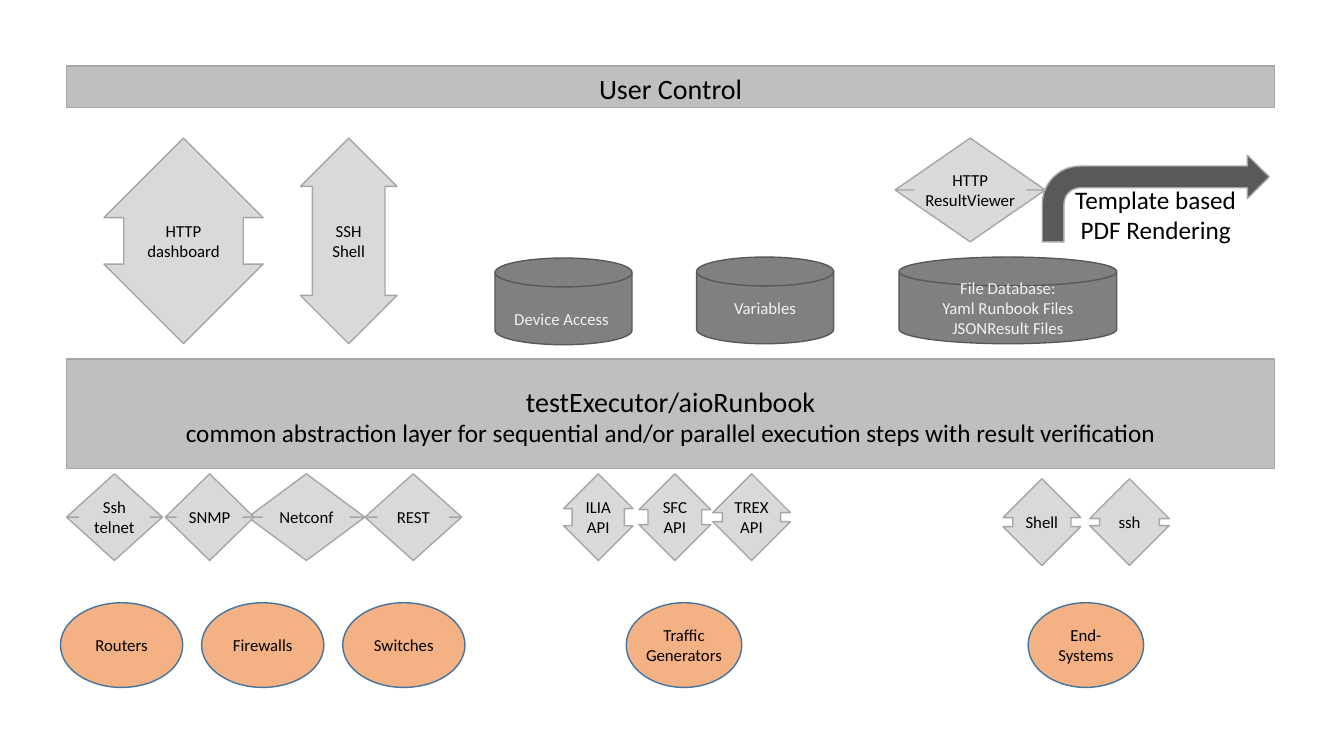
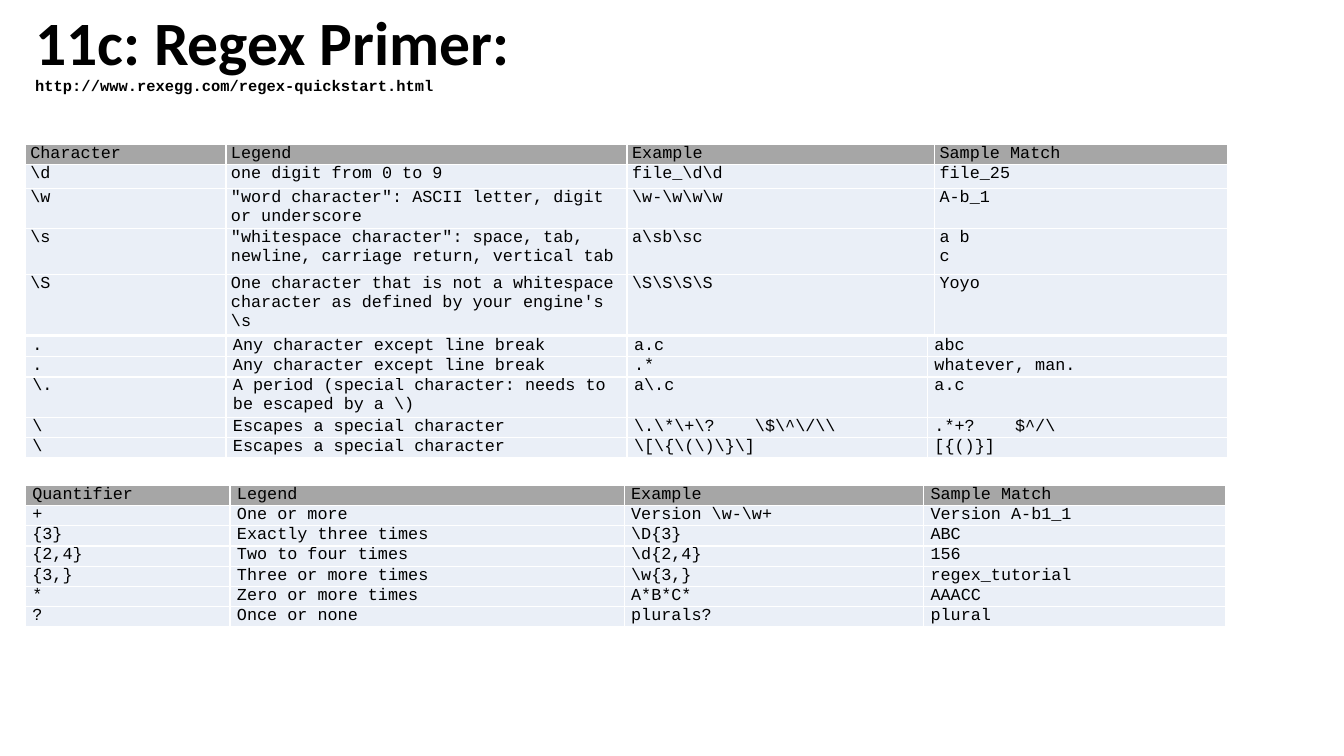
from lxml.etree import SubElement
from pptx import Presentation
from pptx.dml.color import RGBColor
from pptx.enum.shapes import MSO_SHAPE
from pptx.enum.text import MSO_ANCHOR, PP_ALIGN
from pptx.oxml.ns import qn
from pptx.util import Inches, Pt

W, H = Inches(13.333), Inches(7.5)
SANS, MONO = "Calibri", "Courier New"
C = {
    "ink": "000000", "paper": "FFFFFF", "pale_text": "F2F2F2",
    "band": "BFBFBF", "edge": "A6A6A6", "arrow": "D9D9D9",
    "disk": "808080", "dark": "595959",
    "oval": "F4B183", "oval_edge": "43739E",
    "header": "A6A6A6", "body": "EAEFF7",
}
ROW = 2.27

DEVICES = ["Routers", "Firewalls", "Switches"]
OTHER_OVALS = [("Traffic\nGenerators", 46.6), ("End-\nSystems", 76.5)]
PROTOCOL_TOP, HOST_TOP, CONTROL_TOP = 62.67, 63.33, 18.27
ARROWS = [
    ("Ssh\ntelnet", 4.95, PROTOCOL_TOP, 7.13, 11.47),
    ("Netconf", 18.45, PROTOCOL_TOP, 8.7, 11.47),
    ("SNMP", 12.3, PROTOCOL_TOP, 6.6, 11.47),
    ("REST", 27.15, PROTOCOL_TOP, 7.2, 11.47),
    ("ILIA\nAPI", 41.93, PROTOCOL_TOP, 5.18, 11.47),
    ("SFC\nAPI", 47.55, PROTOCOL_TOP, 5.33, 11.47),
    ("TREX\nAPI", 53.03, PROTOCOL_TOP, 5.78, 11.47),
    ("Shell", 74.63, HOST_TOP, 5.78, 11.47),
    ("ssh", 81.08, HOST_TOP, 5.93, 11.47),
    ("HTTP\ndashboard", 7.73, CONTROL_TOP, 11.85, 27.2),
    ("SSH\nShell", 22.35, CONTROL_TOP, 7.2, 27.2, 0.415),
    ("HTTP\nResultViewer", 66.6, CONTROL_TOP, 11.18, 13.73),
]
DISKS = [
    ("File Database:\nYaml Runbook Files\nJSONResult Files", 66.9, 34, 16.2, 0),
    ("Device Access ", 36.83, 34.13, 10.2, 0.2),
    ("Variables", 51.83, 34, 10.2, 0),
]

CHARACTERS = [
    ("Character", "Legend", "Example", "Sample Match"),
    (r"\d", "one digit from 0 to 9", r"file_\d\d", "file_25"),
    (r"\w", '"word character": ASCII letter, digit or underscore', r"\w-\w\w\w", "A-b_1"),
    (r"\s", '"whitespace character": space, tab, newline, carriage return, vertical tab',
     r"a\sb\sc", "a b\nc"),
    (r"\S", r"One character that is not a whitespace character as defined by your engine's \s",
     r"\S\S\S\S", "Yoyo"),
]
SPECIALS = [
    (".", "Any character except line break", "a.c", "abc"),
    (".", "Any character except line break", ".*", "whatever, man."),
    (r"\.", r"A period (special character: needs to be escaped by a \)", r"a\.c", "a.c"),
    ("\\", "Escapes a special character", r"\.\*\+\?    \$\^\/\\", ".*+?    $^/\\"),
    ("\\", "Escapes a special character", r"\[\{\(\)\}\]", "[{()}]"),
]
QUANTIFIERS = [
    ("Quantifier", "Legend", "Example", "Sample Match"),
    ("+", "One or more", r"Version \w-\w+", "Version A-b1_1"),
    ("{3}", "Exactly three times", r"\D{3}", "ABC"),
    ("{2,4}", "Two to four times", r"\d{2,4}", "156"),
    ("{3,}", "Three or more times", r"\w{3,}", "regex_tutorial"),
    ("*", "Zero or more times", "A*B*C*", "AAACC"),
    ("?", "Once or none", "plurals?", "plural"),
]


def x(share):
    return round(W * share / 100)


def y(share):
    return round(H * share / 100)


def box(left, top, width, height):
    return x(left), y(top), x(width), y(height)


def rgb(name):
    return RGBColor.from_string(C[name])


def lines(text, size=12):
    return [(line, size) for line in text.split("\n")]


def write(tf, sized_lines, font=SANS, colour="ink", align=PP_ALIGN.LEFT, bold=False):
    for i, (text, size) in enumerate(sized_lines):
        p = tf.add_paragraph() if i else tf.paragraphs[0]
        p.alignment = align
        r = p.add_run()
        r.text = text
        r.font.name = font
        r.font.size = Pt(size)
        r.font.bold = bold
        r.font.color.rgb = rgb(colour)


def set_insets(target, left, top, right, bottom):
    target.margin_left, target.margin_top = Inches(left), Inches(top)
    target.margin_right, target.margin_bottom = Inches(right), Inches(bottom)


def add_figure(s, kind, place, sized_lines, fill, edge, colour="ink",
               anchor=MSO_ANCHOR.MIDDLE, drop=0, side=0):
    sp = s.shapes.add_shape(kind, *box(*place))
    sp.shadow.inherit = False
    sp.fill.solid()
    sp.fill.fore_color.rgb = rgb(fill)
    sp.line.color.rgb = rgb(edge)
    sp.line.width = Pt(1)
    tf = sp.text_frame
    tf.word_wrap = True
    tf.vertical_anchor = anchor
    set_insets(tf, side, drop, side, 0)
    write(tf, sized_lines, colour=colour, align=PP_ALIGN.CENTER)
    return sp


def add_band(s, top, height, sized_lines, drop):
    add_figure(s, MSO_SHAPE.RECTANGLE, (4.95, top, 89.9, height), sized_lines,
               "band", "edge", anchor=MSO_ANCHOR.TOP, drop=drop, side=0.1)


def add_oval(s, text, left, width):
    add_figure(s, MSO_SHAPE.OVAL, (left, 79.73, width, 11.2), lines(text),
               "oval", "oval_edge")


def add_arrow(s, text, left, top, width, height, head=0.268):
    sp = add_figure(s, MSO_SHAPE.UP_DOWN_ARROW, (left, top, width, height),
                    lines(text), "arrow", "edge", side=0.03)
    sp.adjustments[0] = head
    sp.adjustments[1] = 0.75


def add_disk(s, text, left, top, width, drop):
    add_figure(s, MSO_SHAPE.FLOWCHART_MAGNETIC_DISK, (left, top, width, 11.47),
               lines(text), "disk", "dark", colour="pale_text", drop=drop)


def add_borders(cell):
    tc_pr = cell._tc.get_or_add_tcPr()
    for side in ("a:lnL", "a:lnR", "a:lnT", "a:lnB"):
        ln = SubElement(tc_pr, qn(side), w=str(Pt(1)))
        fill = SubElement(ln, qn("a:solidFill"))
        SubElement(fill, qn("a:srgbClr"), val=C["paper"])


def add_grid(s, top, widths, heights, rows, inset, header=True):
    frame = s.shapes.add_table(len(rows), len(widths),
                               *box(1.88, top, sum(widths), sum(heights)))
    table = frame.table
    table.first_row = header
    table.horz_banding = False
    for column, width in zip(table.columns, widths):
        column.width = x(width)
    for i, (row, height) in enumerate(zip(rows, heights)):
        table.rows[i].height = y(height)
        for j, text in enumerate(row):
            cell = table.cell(i, j)
            add_borders(cell)
            cell.fill.solid()
            cell.fill.fore_color.rgb = rgb("header" if header and i == 0 else "body")
            set_insets(cell, inset, 0, inset, 0)
            write(cell.text_frame, lines(text), font=MONO)


def add_title(s, title, address):
    sp = s.shapes.add_textbox(*box(1.88, 0, 86.25, 14.13))
    tf = sp.text_frame
    tf.word_wrap = True
    tf.vertical_anchor = MSO_ANCHOR.MIDDLE
    write(tf, [(title, 44), (address, 11)], bold=True)
    for p in tf.paragraphs:
        p.line_spacing = 0.9
    tf.paragraphs[1].runs[0].font.name = MONO


def architecture_slide(s):
    add_band(s, 47.47, 14.53, [
        ("testExecutor/aioRunbook", 20),
        ("common abstraction layer for sequential and/or parallel execution steps"
         " with result verification", 18),
    ], drop=0.25)
    add_band(s, 8.75, 5.47, [("User Control", 20)], drop=0.05)
    for i, device in enumerate(DEVICES):
        add_oval(s, device, 4.5 + 10.5 * i, 9.1)
    for text, left in OTHER_OVALS:
        add_oval(s, text, left, 8.6)
    add_figure(s, MSO_SHAPE.BENT_ARROW, (77.55, 20.53, 16.88, 11.47),
               lines("Template based\nPDF Rendering", 18), "dark", "edge", drop=0.32)
    for disk in DISKS:
        add_disk(s, *disk)
    for arrow in ARROWS:
        add_arrow(s, *arrow)


def regex_slide(s):
    add_title(s, "11c: Regex Primer:", "http://www.rexegg.com/regex-quickstart.html")
    add_grid(s, 64.2, [15.23, 29.33, 22.28, 22.5], [ROW] * 7, QUANTIFIERS, 0.07)
    add_grid(s, 19.07, [14.93, 29.85, 22.88, 21.83], [ROW, 3.2, 2.8, 6, 6.8],
             CHARACTERS, 0.05)
    add_grid(s, 44.53, [14.93, 29.85, 22.35, 22.35], [ROW] * 5,
             SPECIALS, 0.07, header=False)


def main():
    prs = Presentation()
    prs.slide_width, prs.slide_height = W, H
    for build in (architecture_slide, regex_slide):
        build(prs.slides.add_slide(prs.slide_layouts[6]))
    prs.save("out.pptx")


if __name__ == "__main__":
    main()
